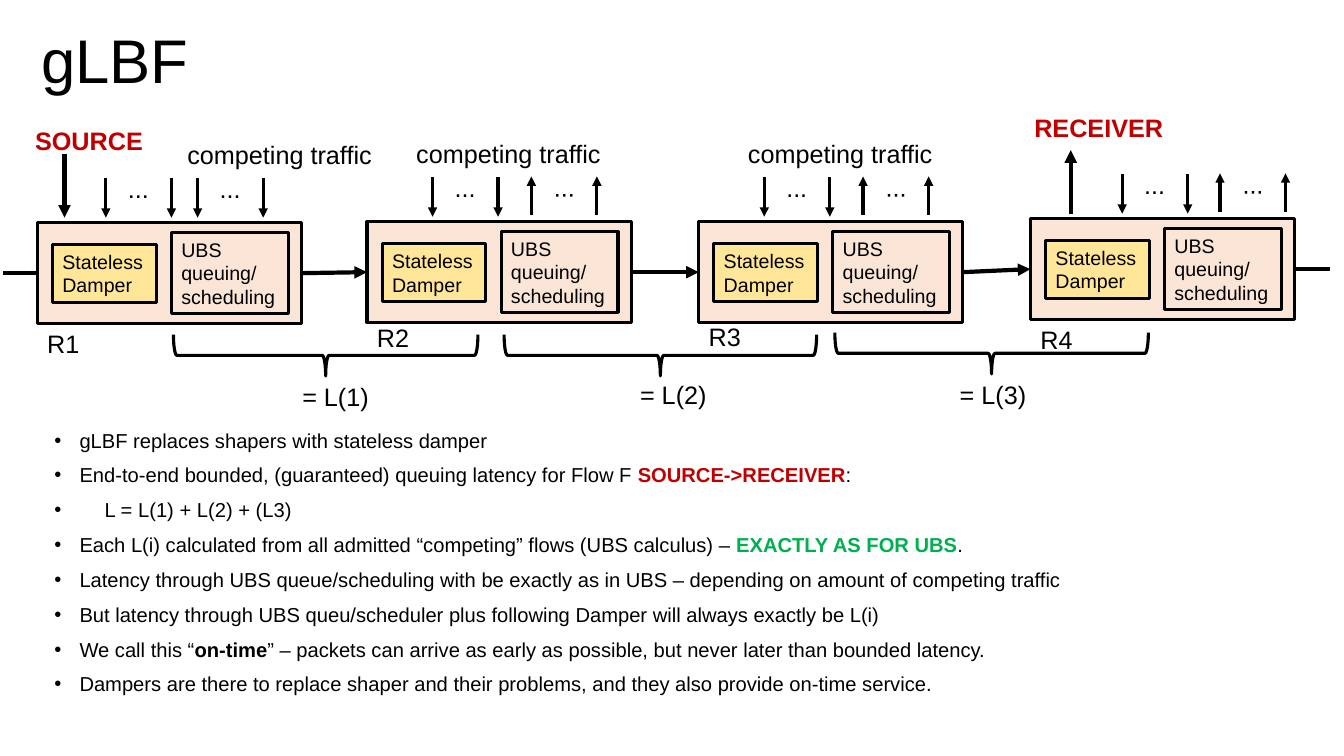
from pptx import Presentation
from pptx.dml.color import RGBColor
from pptx.enum.shapes import MSO_CONNECTOR as CONN, MSO_SHAPE as SHAPE
from pptx.enum.text import MSO_ANCHOR as ANCHOR
from pptx.oxml.ns import qn
from pptx.util import Inches, Pt
from lxml.etree import SubElement

BLACK, RED, GREEN = "000000", "C00000", "00B050"
PEACH, YELLOW = "FBE5D6", "FFE699"
ROUTER_W, ROUTER_H = 2.62, 1
LEFT, RIGHT = 1, 3

ROUTERS = [
    ("R1", 0.37, 2.21, 3.21),
    ("R2", 3.64, 2.2, 3.15),
    ("R3", 6.93, 2.2, 3.14),
    ("R4", 10.22, 2.17, 3.17),
]
DOWN_FLOWS = [(0, 1.05), (0, 1.96), (1, 4.29), (2, 7.58), (3, 11.13)]
UP_FLOWS = [(1, 5.27), (2, 8.56), (3, 12.1)]
LABELS = [
    ("competing traffic", 1.76, 1.33, 2.03),
    ("competing traffic", 4.03, 1.32, 2.03),
    ("competing traffic", 7.32, 1.32, 2.03),
    ("= L(1)", 2.9, 3.73, 0.86),
    ("= L(2)", 6.25, 3.71, 0.86),
    ("= L(3)", 9.42, 3.71, 0.86),
]
BRACES = [(1.72, 3.32, 3.02), (5, 3.32, 3.1), (8.28, 3.3, 3.11)]
BULLETS = [
    [("gLBF replaces shapers with stateless damper", BLACK, False)],
    [("End-to-end bounded, (guaranteed) queuing latency for Flow F ", BLACK, False),
     ("SOURCE->RECEIVER", RED, True), (":", BLACK, False)],
    [("\tL = L(1) + L(2) + (L3)", BLACK, False)],
    [("Each L(i) calculated from all admitted “competing” flows (UBS calculus) – ", BLACK, False),
     ("EXACTLY AS FOR UBS", GREEN, True), (".", BLACK, False)],
    [("Latency through UBS queue/scheduling with be exactly as in UBS – "
      "depending on amount of competing traffic", BLACK, False)],
    [("But latency through UBS queu/scheduler plus following Damper "
      "will always exactly be L(i)", BLACK, False)],
    [("We call this “", BLACK, False), ("on-time", BLACK, True),
     ("” – packets can arrive as early as possible, but never later than bounded latency.",
      BLACK, False)],
    [("Dampers are there to replace shaper and their problems, "
      "and they also provide on-time service.", BLACK, False)],
]


def rgb(color):
    return RGBColor.from_string(color)


def add_run(p, text, size, color=BLACK, bold=False):
    r = p.add_run()
    r.text = text
    r.font.name = "Arial"
    r.font.size = Pt(size)
    r.font.bold = bold
    r.font.color.rgb = rgb(color)


def add_label(s, text, x, y, w, h=0.4, size=18, color=BLACK, bold=False):
    sp = s.shapes.add_textbox(Inches(x), Inches(y), Inches(w), Inches(h))
    sp.text_frame.word_wrap = False
    add_run(sp.text_frame.paragraphs[0], text, size, color, bold)
    return sp


def add_outline(s, kind, x, y, w, h, fill=None):
    sp = s.shapes.add_shape(kind, Inches(x), Inches(y), Inches(w), Inches(h))
    sp.shadow.inherit = False
    if fill:
        sp.fill.solid()
        sp.fill.fore_color.rgb = rgb(fill)
    else:
        sp.fill.background()
    sp.line.color.rgb = rgb(BLACK)
    sp.line.width = Pt(2.25)
    return sp


def add_block(s, lines, x, y, w, h, fill=None):
    tf = add_outline(s, SHAPE.RECTANGLE, x, y, w, h, fill).text_frame
    tf.word_wrap = True
    tf.vertical_anchor = ANCHOR.TOP
    for i, line in enumerate(lines):
        p = tf.paragraphs[0] if i == 0 else tf.add_paragraph()
        p.alignment = 1
        add_run(p, line, 14)


def add_line(s, x1, y1, x2, y2, width=3, arrow=True):
    c = s.shapes.add_connector(CONN.STRAIGHT, Inches(x1), Inches(y1), Inches(x2), Inches(y2))
    c.line.color.rgb = rgb(BLACK)
    c.line.width = Pt(width)
    if arrow:
        SubElement(c.line._get_or_add_ln(), qn("a:tailEnd"), type="triangle")
    SubElement(c._element.spPr, qn("a:effectLst"))
    return c


def add_router(s, name, x, y, label_y):
    router = add_outline(s, SHAPE.RECTANGLE, x, y, ROUTER_W, ROUTER_H, PEACH)
    add_block(s, ["UBS", "queuing/", "scheduling"], x + 1.33, y + 0.1, 1.16, 0.8)
    add_block(s, ["Stateless", "Damper"], x + 0.15, y + 0.22, 1.03, 0.57, YELLOW)
    add_label(s, name, x, label_y, 0.52)
    return router


def add_flows(s, x, router_y, up=False):
    start, end, dots_y = (-0.07, -0.45, -0.37) if up else (-0.44, -0.05, -0.54)
    for arrow_x in (x, x + 0.65):
        add_line(s, arrow_x, router_y + start, arrow_x, router_y + end, 2.25)
    dots = add_label(s, "...", x + 0.12, router_y + dots_y, 0.41)
    dots.rotation = 180 if up else 0


def add_brace(s, x, y, length):
    depth = 0.41
    shift = (length - depth) / 2
    sp = add_outline(s, SHAPE.LEFT_BRACE, x + shift, y - shift, depth, length)
    sp.adjustments[0] = 0.083
    sp.rotation = 270


def add_bullets(s, x, y, w, h):
    tf = s.shapes.add_textbox(Inches(x), Inches(y), Inches(w), Inches(h)).text_frame
    tf.word_wrap = True
    for i, runs in enumerate(BULLETS):
        p = tf.paragraphs[0] if i == 0 else tf.add_paragraph()
        p.line_spacing = 0.86
        p.space_before = Pt(10)
        pPr = p._p.get_or_add_pPr()
        pPr.set("marL", str(Inches(0.25)))
        pPr.set("indent", str(Inches(-0.25)))
        SubElement(pPr, qn("a:buFont"), typeface="Arial")
        SubElement(pPr, qn("a:buChar"), char="•")
        for text, color, bold in runs:
            add_run(p, text, 14.4, color, bold)


def main():
    prs = Presentation()
    prs.slide_width, prs.slide_height = Inches(13.33), Inches(7.5)
    s = prs.slides.add_slide(prs.slide_layouts[6])

    title = add_label(s, "gLBF", 0.31, 0.07, 11.5, 1.12, 44)
    title.text_frame.word_wrap = True
    title.text_frame.vertical_anchor = ANCHOR.MIDDLE
    title.text_frame.paragraphs[0].line_spacing = 0.9

    routers = [add_router(s, *router) for router in ROUTERS]
    for a, b in zip(routers, routers[1:]):
        link = add_line(s, 0, 0, 1, 1)
        link.begin_connect(a, RIGHT)
        link.end_connect(b, LEFT)
    add_line(s, 0.03, 2.71, 0.37, 2.71, arrow=False).end_connect(routers[0], LEFT)
    add_line(s, 12.84, 2.67, 13.19, 2.67, arrow=False).begin_connect(routers[-1], RIGHT)

    for i, x in DOWN_FLOWS:
        add_flows(s, x, ROUTERS[i][2])
    for i, x in UP_FLOWS:
        add_flows(s, x, ROUTERS[i][2], up=True)
    add_line(s, 0.64, 1.53, 0.64, 2.16)
    add_line(s, 10.62, 2.12, 10.62, 1.49)
    add_label(s, "SOURCE", 0.25, 1.19, 1.27, color=RED, bold=True)
    add_label(s, "RECEIVER", 10.16, 1.07, 1.48, color=RED, bold=True)

    for brace in BRACES:
        add_brace(s, *brace)
    for label in LABELS:
        add_label(s, *label)
    add_bullets(s, 0.44, 4.23, 11.98, 3.02)
    prs.save("out.pptx")


if __name__ == "__main__":
    main()
